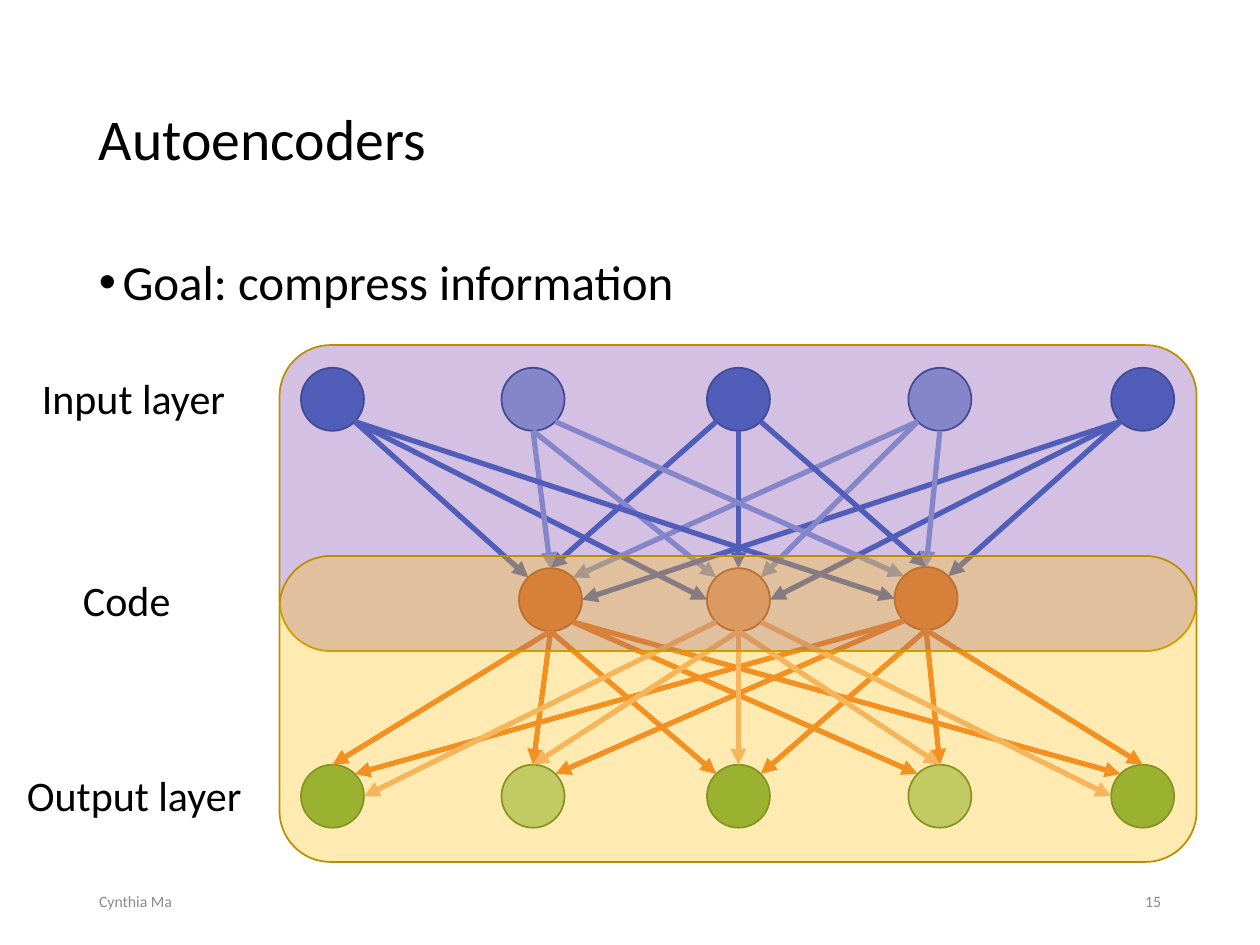
from lxml import etree
from pptx import Presentation
from pptx.dml.color import RGBColor
from pptx.enum.shapes import MSO_CONNECTOR, MSO_SHAPE
from pptx.enum.text import MSO_ANCHOR as ANCHOR, PP_ALIGN as ALIGN
from pptx.oxml.ns import qn
from pptx.util import Pt

BLACK = RGBColor(0x00, 0x00, 0x00)
GRAY = RGBColor(0x8C, 0x8C, 0x8C)
BLUE = RGBColor(0x44, 0x72, 0xC4)
LIGHT_BLUE = RGBColor(0x8F, 0xAA, 0xDC)
BLUE_EDGE = RGBColor(0x32, 0x54, 0x91)
ORANGE = RGBColor(0xED, 0x7D, 0x31)
LIGHT_ORANGE = RGBColor(0xF4, 0xB1, 0x83)
ORANGE_EDGE = RGBColor(0xAF, 0x5C, 0x24)
GREEN = RGBColor(0x70, 0xAD, 0x47)
LIGHT_GREEN = RGBColor(0xA9, 0xD1, 0x8E)
GREEN_EDGE = RGBColor(0x53, 0x80, 0x35)
PURPLE = RGBColor(0x70, 0x30, 0xA0)
GOLD = RGBColor(0xFF, 0xC0, 0x00)
GOLD_EDGE = RGBColor(0xBD, 0x8E, 0x00)

prs = Presentation()
prs.slide_width, prs.slide_height = Pt(720), Pt(540)
slide = prs.slides.add_slide(prs.slide_layouts[6])
shapes = slide.shapes


def add_text(text, left, top, width, height, size, color=BLACK,
             align=ALIGN.LEFT, anchor=ANCHOR.MIDDLE):
    """Add a one-paragraph text box and return its paragraph."""
    frame = shapes.add_textbox(Pt(left), Pt(top), Pt(width), Pt(height)).text_frame
    frame.word_wrap = True
    frame.vertical_anchor = anchor
    frame.text = text
    paragraph = frame.paragraphs[0]
    paragraph.alignment = align
    font = paragraph.runs[0].font
    font.name, font.size, font.color.rgb = "Calibri", Pt(size), color
    return paragraph


def style_shape(shape, fill, edge):
    shape.shadow.inherit = False
    shape.fill.solid()
    shape.fill.fore_color.rgb = fill
    shape.line.color.rgb = edge
    shape.line.width = Pt(1)


# Title, bullet and footer
title = add_text("Autoencoders", 49.5, 28.8, 621, 104.4, 33)
title.line_spacing = 0.9

goal = add_text("Goal: compress information", 49.5, 144, 621, 53.3, 28,
                anchor=ANCHOR.TOP)
goal.line_spacing = 0.9
goal.space_before = Pt(7.5)
goal_props = goal._p.get_or_add_pPr()
goal_props.set("marL", str(Pt(13.5)))
goal_props.set("indent", str(Pt(-13.5)))
etree.SubElement(goal_props, qn("a:buFont")).set("typeface", "Arial")
etree.SubElement(goal_props, qn("a:buChar")).set("char", "•")

add_text("Cynthia Ma", 49.5, 500.5, 162, 28.8, 9, GRAY)
add_text("15", 508.5, 500.5, 162, 28.8, 9, GRAY, ALIGN.RIGHT)

# Layer names
for name, center_x, top in [("Input layer", 76.3, 209.5),
                            ("Code", 72.4, 324.7),
                            ("Output layer", 76.7, 436.3)]:
    add_text(name, center_x - 71, top, 142, 36.4, 24,
             align=ALIGN.CENTER, anchor=ANCHOR.TOP)

# Nodes: centres by layer, with strong and light fills in turn
RADIUS = 18
OUTER_X = [190, 304.6, 422, 537.1, 653]
CODE_X = [314.6, 422, 529.2]
input_layer = [(x, 228.2) for x in OUTER_X]
code_layer = list(zip(CODE_X, [342.7, 342.7, 342]))
output_layer = [(x, 455) for x in OUTER_X]

for centers, fills, edge in [(input_layer, (BLUE, LIGHT_BLUE), BLUE_EDGE),
                             (code_layer, (ORANGE, LIGHT_ORANGE), ORANGE_EDGE),
                             (output_layer, (GREEN, LIGHT_GREEN), GREEN_EDGE)]:
    for i, (x, y) in enumerate(centers):
        node = shapes.add_shape(MSO_SHAPE.OVAL, Pt(x - RADIUS), Pt(y - RADIUS),
                                Pt(2 * RADIUS), Pt(2 * RADIUS))
        style_shape(node, fills[i % 2], edge)

# Arrows: source node, its port, target node, its port
DIAGONAL = 12.73
PORTS = {
    "t": (0, -RADIUS), "b": (0, RADIUS), "l": (-RADIUS, 0), "r": (RADIUS, 0),
    "tl": (-DIAGONAL, -DIAGONAL), "tr": (DIAGONAL, -DIAGONAL),
    "bl": (-DIAGONAL, DIAGONAL), "br": (DIAGONAL, DIAGONAL),
}
ENCODER = [
    (2, "bl", 0, "t"), (1, "b", 1, "tl"), (0, "br", 1, "l"),
    (4, "bl", 0, "r"), (3, "bl", 0, "tr"), (1, "b", 0, "t"),
    (0, "br", 0, "tl"), (2, "b", 1, "t"), (3, "bl", 1, "tr"),
    (4, "bl", 1, "r"), (0, "br", 2, "l"), (1, "br", 2, "tl"),
    (2, "br", 2, "t"), (3, "b", 2, "t"), (4, "bl", 2, "tr"),
]
DECODER = [
    (0, "b", 0, "t"), (0, "b", 1, "t"), (0, "b", 2, "tl"),
    (0, "br", 3, "tl"), (0, "br", 4, "tl"), (2, "b", 4, "t"),
    (2, "b", 2, "tr"), (2, "bl", 1, "tr"), (2, "bl", 0, "tr"),
    (2, "b", 3, "t"), (1, "b", 2, "t"), (1, "br", 4, "l"),
    (1, "bl", 0, "r"), (1, "b", 1, "t"), (1, "b", 3, "t"),
]
for links, sources, targets, colors in [
        (ENCODER, input_layer, code_layer, (BLUE, LIGHT_BLUE)),
        (DECODER, code_layer, output_layer, (ORANGE, LIGHT_ORANGE))]:
    for source, out_port, target, in_port in links:
        ends = [Pt(center + offset)
                for node, port in ((sources[source], out_port),
                                   (targets[target], in_port))
                for center, offset in zip(node, PORTS[port])]
        arrow = shapes.add_connector(MSO_CONNECTOR.STRAIGHT, *ends)
        arrow.line.color.rgb = colors[source % 2]
        arrow.line.width = Pt(3)
        etree.SubElement(arrow.line._get_or_add_ln(),
                         qn("a:tailEnd")).set("type", "triangle")
        etree.SubElement(arrow._element.spPr, qn("a:effectLst"))

# Translucent encoder and decoder panels, overlapping on the code layer
for top, color in [(197.2, PURPLE), (317.7, GOLD)]:
    panel = shapes.add_shape(MSO_SHAPE.ROUNDED_RECTANGLE, Pt(159.8), Pt(top),
                             Pt(524), Pt(174.8))
    style_shape(panel, color, GOLD_EDGE)
    fill_color = panel._element.spPr.find(qn("a:solidFill"))[0]
    etree.SubElement(fill_color, qn("a:alpha")).set("val", "30000")

prs.save("out.pptx")
